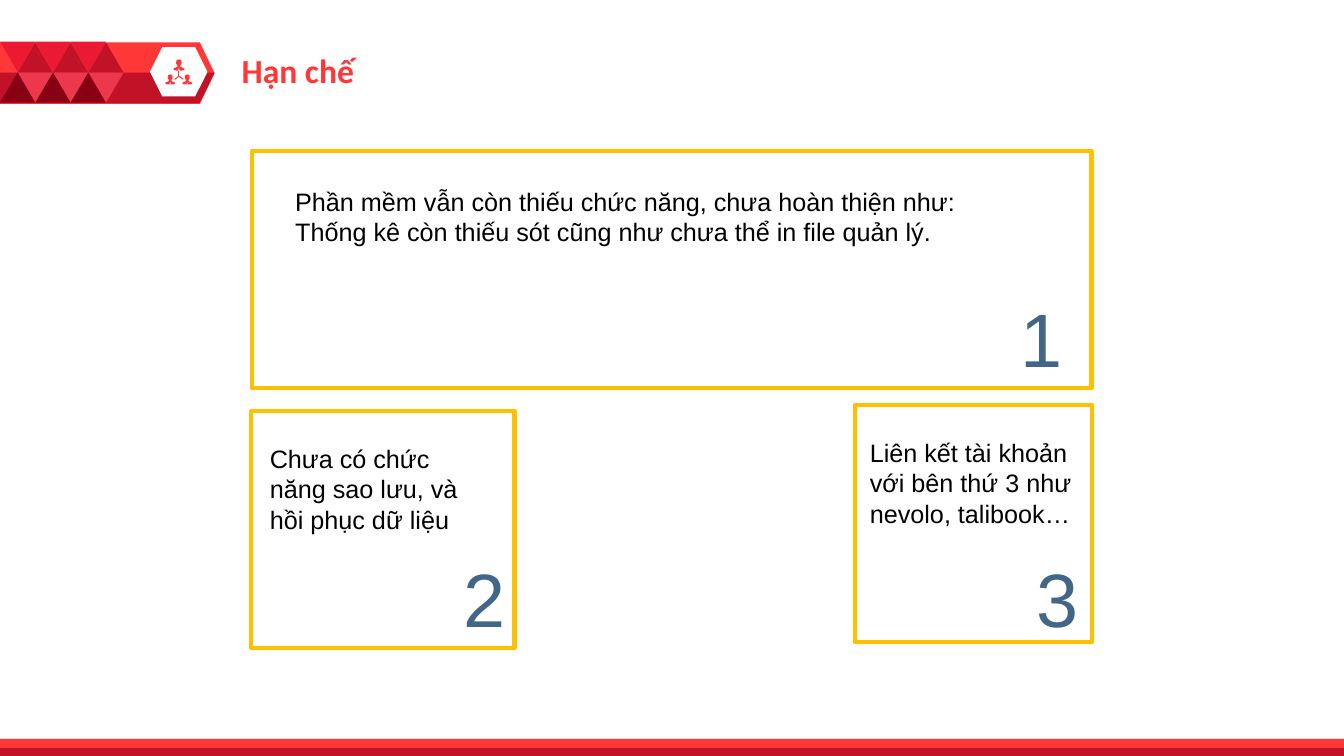
import dataclasses

import pptx
import pptx.dml.color
import pptx.enum.shapes
import pptx.enum.text
import pptx.oxml.ns
import pptx.util
from lxml import etree

Cm = pptx.util.Cm
Pt = pptx.util.Pt
SHAPE = pptx.enum.shapes.MSO_SHAPE
ALIGN = pptx.enum.text.PP_ALIGN

COLORS = {
    "red": "FF3737",
    "dark_red": "C21227",
    "crimson": "EB1932",
    "rose": "ED374D",
    "maroon": "880014",
    "white": "FFFFFF",
    "gold": "FFC000",
    "black": "000000",
    "slate": "426687",
}

SLIDE_W, SLIDE_H = 33.87, 19.05
TRI_W, TRI_H = 0.89, 0.76
BAND_TOP, BAND_MID, BAND_BOTTOM = 1.07, 1.83, 2.6
HALF_PERSON = [
    (0, 0), (0.14, 0.02), (0.23, 0.12), (0.24, 0.25), (0.24, 0.36),
    (0.19, 0.45), (0.13, 0.53), (0.14, 0.66), (0.25, 0.72),
    (0.42, 0.77), (0.5, 0.92), (0.3, 0.99), (0.07, 1), (0.02, 0.76),
]


@dataclasses.dataclass(frozen=True)
class Box:
    left: float
    top: float
    width: float
    height: float

    def lengths(self) -> list:
        return [Cm(v) for v in dataclasses.astuple(self)]


@dataclasses.dataclass(frozen=True)
class Tile:
    left: float
    top: float
    color: str
    rotation: int


@dataclasses.dataclass(frozen=True)
class Card:
    frame: Box
    text_box: Box
    text: str
    number: str
    number_left: float
    number_top: float


CARDS = [
    Card(Box(6.32, 10.36, 6.65, 5.97), Box(6.55, 11.05, 5.59, 3.33),
         "Chưa có chức năng sao lưu, và hồi phục dữ liệu", "2", 8.81, 13.79),
    Card(Box(6.35, 3.81, 21.16, 5.97), Box(7.19, 4.57, 17.58, 1.8),
         "Phần mềm vẫn còn thiếu chức năng, chưa hoàn thiện như: "
         "Thống kê còn thiếu sót cũng như chưa thể in file quản lý.", "1", 22.86, 7.24),
    Card(Box(21.54, 10.21, 5.99, 5.97), Box(21.67, 10.9, 5.99, 4.11),
         "Liên kết tài khoản với bên thứ 3 như nevolo, talibook…", "3", 23.27, 13.79),
]


def rgb(name: str) -> pptx.dml.color.RGBColor:
    return pptx.dml.color.RGBColor.from_string(COLORS[name])


def paint(sp, color: str):
    sp.shadow.inherit = False
    sp.fill.solid()
    sp.fill.fore_color.rgb = rgb(color)
    sp.line.fill.background()
    return sp


def add_filled(s, kind, box: Box, color: str):
    return paint(s.shapes.add_shape(kind, *box.lengths()), color)


def add_outline(s, points: list, color: str) -> None:
    corners = [(Cm(x), Cm(y)) for x, y in points]
    builder = s.shapes.build_freeform(*corners[0], scale=1.0)
    builder.add_line_segments(corners[1:], close=True)
    paint(builder.convert_to_shape(), color)


def add_frame(s, box: Box) -> None:
    sp = s.shapes.add_shape(SHAPE.RECTANGLE, *box.lengths())
    sp.shadow.inherit = False
    sp.fill.background()
    sp.line.color.rgb = rgb("gold")
    sp.line.width = Pt(3)


def add_text(s, box: Box, text: str, size: int, color: str,
             font: str = "Arial", bold: bool = False, align=ALIGN.LEFT) -> None:
    tf = s.shapes.add_textbox(*box.lengths()).text_frame
    tf.word_wrap = True
    p = tf.paragraphs[0]
    p.alignment = align
    r = p.add_run()
    r.text = text
    r.font.name = font
    r.font.size = Pt(size)
    r.font.bold = bold
    r.font.color.rgb = rgb(color)


def add_person(s, center: float, top: float, size: float) -> None:
    half = HALF_PERSON + [(-x, y) for x, y in reversed(HALF_PERSON[1:])]
    add_outline(s, [(center + x * size, top + y * size) for x, y in half], "red")


def add_spoke(s, x: float, y: float) -> None:
    line = s.shapes.add_connector(
        pptx.enum.shapes.MSO_CONNECTOR.STRAIGHT, Cm(4.51), Cm(1.92), Cm(x), Cm(y))
    line.line.color.rgb = rgb("red")
    line.line.width = Pt(0.75)
    etree.SubElement(line._element.spPr, pptx.oxml.ns.qn("a:effectLst"))


def add_banner(s) -> None:
    plate = add_filled(s, SHAPE.PENTAGON, Box(0, BAND_TOP, 5.41, 1.55), "red")
    plate.adjustments[0] = 0.24
    add_outline(s, [(0, BAND_MID), (5.41, BAND_MID), (5.03, BAND_BOTTOM),
                    (0, BAND_BOTTOM)], "dark_red")
    add_filled(s, SHAPE.HEXAGON, Box(3.78, 1.19, 1.45, 1.24), "white")
    for x, y in [(4.51, 1.8), (4.4, 2.0), (4.62, 2.0)]:
        add_spoke(s, x, y)
    for center, top, size in [(4.51, 1.5, 0.28), (4.29, 1.88, 0.25), (4.72, 1.88, 0.25)]:
        add_person(s, center, top, size)

    tiles = [
        Tile(0, 1.05, "crimson", 180),
        Tile(TRI_W / 2, BAND_TOP, "dark_red", 0),
        Tile(TRI_W / 2, BAND_MID, "rose", 180),
        Tile(0, BAND_MID, "maroon", 0),
    ]
    for column in range(3):
        for tile in tiles:
            box = Box(column * TRI_W + tile.left, tile.top, TRI_W, TRI_H)
            sp = add_filled(s, SHAPE.ISOSCELES_TRIANGLE, box, tile.color)
            sp.rotation = tile.rotation


def add_card(s, card: Card) -> None:
    add_frame(s, card.frame)
    add_text(s, card.text_box, card.text, 18, "black")
    add_text(s, Box(card.number_left, card.number_top, 4.17, 2.57),
             card.number, 54, "slate", align=ALIGN.RIGHT)


def main() -> None:
    prs = pptx.Presentation()
    prs.slide_width, prs.slide_height = Cm(SLIDE_W), Cm(SLIDE_H)
    s = prs.slides.add_slide(prs.slide_layouts[6])
    add_banner(s)
    add_filled(s, SHAPE.RECTANGLE, Box(0, 18.62, SLIDE_W, 0.41), "red")
    add_filled(s, SHAPE.RECTANGLE, Box(0, 18.85, SLIDE_W, 0.2), "dark_red")
    add_text(s, Box(5.84, 1.14, 10.72, 1.27), "Hạn chế", 24, "red", "Calibri", True)
    for card in CARDS:
        add_card(s, card)
    prs.save("out.pptx")


if __name__ == "__main__":
    main()
